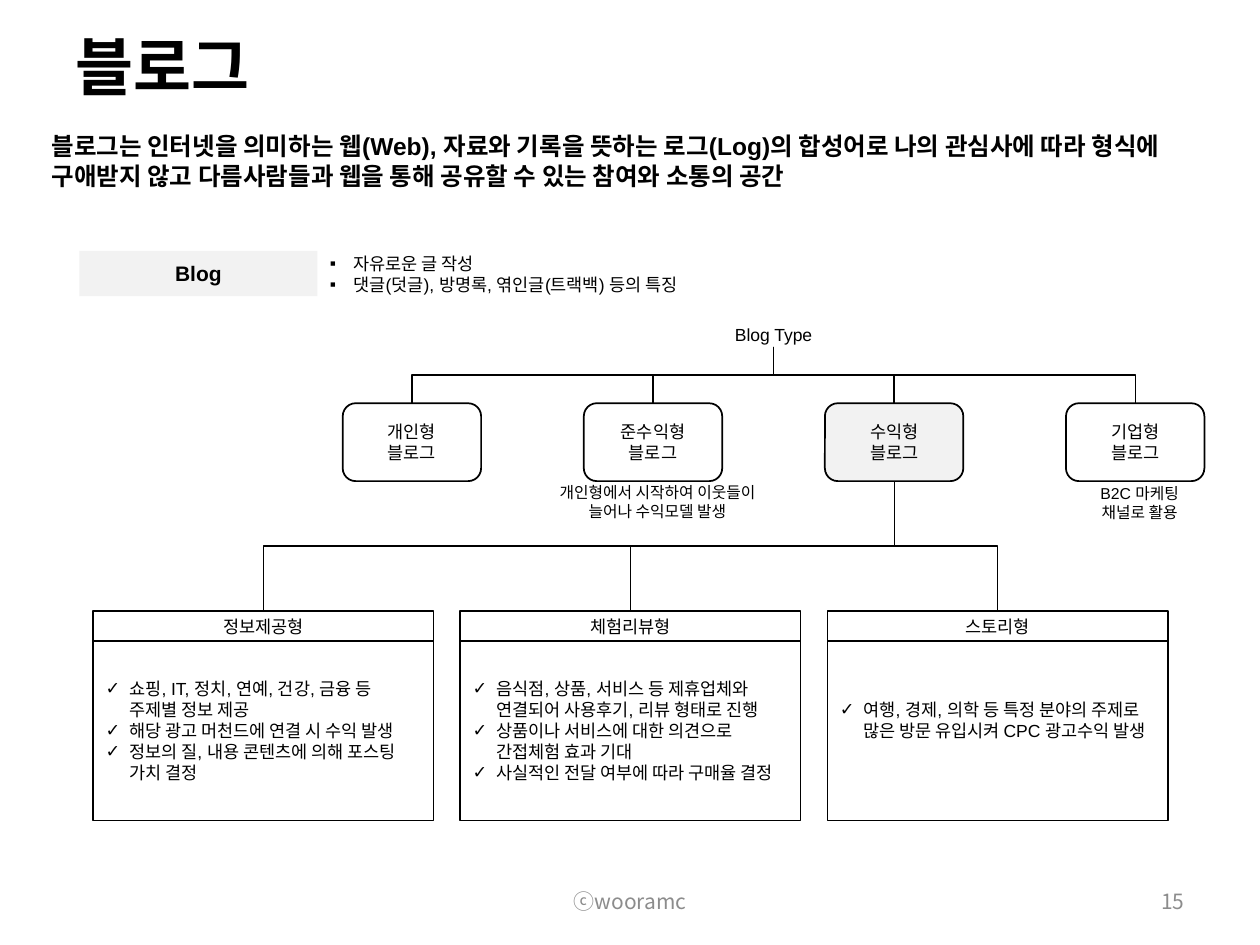
from dataclasses import dataclass

from lxml import etree
from pptx import Presentation
from pptx.dml.color import RGBColor
from pptx.enum.shapes import MSO_CONNECTOR, MSO_SHAPE
from pptx.enum.text import MSO_ANCHOR, PP_ALIGN
from pptx.oxml.ns import qn
from pptx.util import Cm, Pt

LEFT, CENTER, RIGHT = PP_ALIGN.LEFT, PP_ALIGN.CENTER, PP_ALIGN.RIGHT
MIDDLE = MSO_ANCHOR.MIDDLE
RECT, ROUNDED = MSO_SHAPE.RECTANGLE, MSO_SHAPE.ROUNDED_RECTANGLE
ELBOW = MSO_CONNECTOR.ELBOW

COLORS = {"ink": "000000", "panel": "F2F2F2", "footer": "8C8C8C"}
BODY_FONT, HEAD_FONT = "Arial", "Noto Sans CJK KR"
BULLET_INDENT = Cm(0.48)


@dataclass
class Box:
    left: float
    top: float
    width: float
    height: float

    @property
    def center(self) -> float:
        return self.left + self.width / 2

    @property
    def bottom(self) -> float:
        return self.top + self.height

    def lengths(self) -> list:
        return [Cm(v) for v in (self.left, self.top, self.width, self.height)]


@dataclass
class TextStyle:
    size: float = 10
    bold: bool = False
    align: PP_ALIGN = CENTER
    font: str = BODY_FONT
    color: str = "ink"
    bullet: str = ""


@dataclass
class BlogType:
    lines: list[str]
    fill: str = ""


@dataclass
class ProfitModel:
    heading: str
    points: list[str]
    bottom_inset: float = 0


def rgb(name: str) -> RGBColor:
    return RGBColor.from_string(COLORS[name])


def add_bullet(paragraph, mark: str) -> None:
    props = paragraph._p.get_or_add_pPr()
    props.set("marL", str(BULLET_INDENT))
    props.set("indent", str(-BULLET_INDENT))
    font = etree.SubElement(props, qn("a:buFont"))
    font.set("typeface", "Wingdings" if not mark else BODY_FONT)
    etree.SubElement(props, qn("a:buChar")).set("char", mark)


def write(shape, lines: list[str], style: TextStyle, bottom_inset: float = 0) -> None:
    frame = shape.text_frame
    frame_format = {"word_wrap": True, "vertical_anchor": MIDDLE,
                    "margin_left": Cm(0.25), "margin_right": Cm(0.25),
                    "margin_top": 0, "margin_bottom": Cm(bottom_inset)}
    for name, value in frame_format.items():
        setattr(frame, name, value)
    font_format = {"size": Pt(style.size), "bold": style.bold, "name": style.font}
    for i, line in enumerate(lines):
        paragraph = frame.add_paragraph() if i else frame.paragraphs[0]
        paragraph.alignment = style.align
        if style.bullet:
            add_bullet(paragraph, style.bullet)
        run = paragraph.add_run()
        run.text = line
        for name, value in font_format.items():
            setattr(run.font, name, value)
        run.font.color.rgb = rgb(style.color)


def add_text(slide, box: Box, lines: list[str], style: TextStyle) -> None:
    write(slide.shapes.add_textbox(*box.lengths()), lines, style)


def add_panel(slide, box: Box, lines: list[str], style: TextStyle, kind=RECT,
              fill: str = "", outlined: bool = True, bottom_inset: float = 0) -> None:
    panel = slide.shapes.add_shape(kind, *box.lengths())
    panel.shadow.inherit = False
    if fill:
        panel.fill.solid()
        panel.fill.fore_color.rgb = rgb(fill)
    else:
        panel.fill.background()
    if outlined:
        panel.line.color.rgb = rgb("ink")
        panel.line.width = Pt(1)
    else:
        panel.line.fill.background()
    write(panel, lines, style, bottom_inset)


def add_branch(slide, parent: Box, child: Box) -> None:
    """Elbow from the parent's bottom to the child's top, turned to leave downwards."""
    drop, shift = child.top - parent.bottom, child.center - parent.center
    mid_x, mid_y = (parent.center + child.center) / 2, (parent.bottom + child.top) / 2
    side = 1 if shift > 0 else -1
    branch = slide.shapes.add_connector(
        ELBOW,
        Cm(mid_x + side * drop / 2), Cm(mid_y - abs(shift) / 2),
        Cm(mid_x - side * drop / 2), Cm(mid_y + abs(shift) / 2))
    branch.line.color.rgb = rgb("ink")
    branch.line.width = Pt(0.75)
    props = branch._element.spPr
    props.find(qn("a:xfrm")).set("rot", str((270 if side > 0 else 90) * 60000))
    etree.SubElement(props, qn("a:effectLst"))


TYPES = [
    BlogType(["개인형", "블로그"]),
    BlogType(["준수익형", "블로그"]),
    BlogType(["수익형", "블로그"], fill="panel"),
    BlogType(["기업형", "블로그"]),
]
MODELS = [
    ProfitModel("정보제공형", [
        "쇼핑, IT, 정치, 연예, 건강, 금융 등 주제별 정보 제공",
        "해당 광고 머천드에 연결 시 수익 발생",
        "정보의 질, 내용 콘텐츠에 의해 포스팅 가치 결정"]),
    ProfitModel("체험리뷰형", [
        "음식점, 상품, 서비스 등 제휴업체와 연결되어 사용후기, 리뷰 형태로 진행",
        "상품이나 서비스에 대한 의견으로 간접체험 효과 기대",
        "사실적인 전달 여부에 따라 구매율 결정"]),
    ProfitModel("스토리형", [
        "여행, 경제, 의학 등 특정 분야의 주제로 많은 방문 유입시켜 CPC 광고수익 발생"],
        bottom_inset=0.42),
]


def main() -> None:
    prs = Presentation()
    prs.slide_width, prs.slide_height = Cm(25.4), Cm(19.05)
    slide = prs.slides.add_slide(prs.slide_layouts[5])

    # Title and summary
    title = slide.shapes.title
    title.left, title.top, title.width, title.height = Box(1.27, 0.33, 22.86, 1.96).lengths()
    write(title, ["블로그"], TextStyle(36, True, LEFT, HEAD_FONT))
    add_text(slide, Box(0.79, 2.34, 23.8, 1.8), [
        "블로그는 인터넷을 의미하는 웹(Web), 자료와 기록을 뜻하는 로그(Log)의 합성어로 "
        "나의 관심사에 따라 형식에 구애받지 않고 다름사람들과 웹을 통해 공유할 수 있는 "
        "참여와 소통의 공간"], TextStyle(14, True, LEFT))

    # Blog features
    add_panel(slide, Box(1.6, 5.06, 4.8, 0.91), ["Blog"], TextStyle(12, True),
              fill="panel", outlined=False)
    add_text(slide, Box(6.4, 5.06, 16.1, 0.91),
             ["자유로운 글 작성", "댓글(덧글), 방명록, 엮인글(트랙백) 등의 특징"],
             TextStyle(align=LEFT, bullet="▪"))

    # Blog types
    type_boxes = [Box(6.91 + 4.86 * i, 8.13, 2.79, 1.57) for i in range(len(TYPES))]
    root = Box(6.91, 6.48, 17.37, 0.51)
    add_text(slide, root, ["Blog Type"], TextStyle())
    for blog_type, box in zip(TYPES, type_boxes):
        add_panel(slide, box, blog_type.lines, TextStyle(), ROUNDED, blog_type.fill)
        add_branch(slide, root, box)
    add_text(slide, Box(10.9, 9.7, 4.7, 0.84),
             ["개인형에서 시작하여 이웃들이 늘어나 수익모델 발생"], TextStyle(9))
    add_text(slide, Box(21.49, 9.72, 2.97, 0.84), ["B2C 마케팅 채널로 활용"], TextStyle(9))

    # Models of the profit blog
    profit_box = type_boxes[2]
    for i, model in enumerate(MODELS):
        heading = Box(1.88 + 7.4 * i, 12.32, 6.86, 0.61)
        body = Box(heading.left, heading.bottom, heading.width, 3.61)
        add_panel(slide, body, model.points, TextStyle(align=LEFT, bullet="✓"),
                  bottom_inset=model.bottom_inset)
        add_panel(slide, heading, [model.heading], TextStyle())
        add_branch(slide, profit_box, heading)

    # Footer
    add_text(slide, Box(8.68, 17.65, 8.04, 1.02), ["ⓒwooramc"],
             TextStyle(12, font=HEAD_FONT, color="footer"))
    add_text(slide, Box(18.2, 17.65, 5.93, 1.02), ["15"],
             TextStyle(12, align=RIGHT, font=HEAD_FONT, color="footer"))

    prs.save("out.pptx")


if __name__ == "__main__":
    main()
